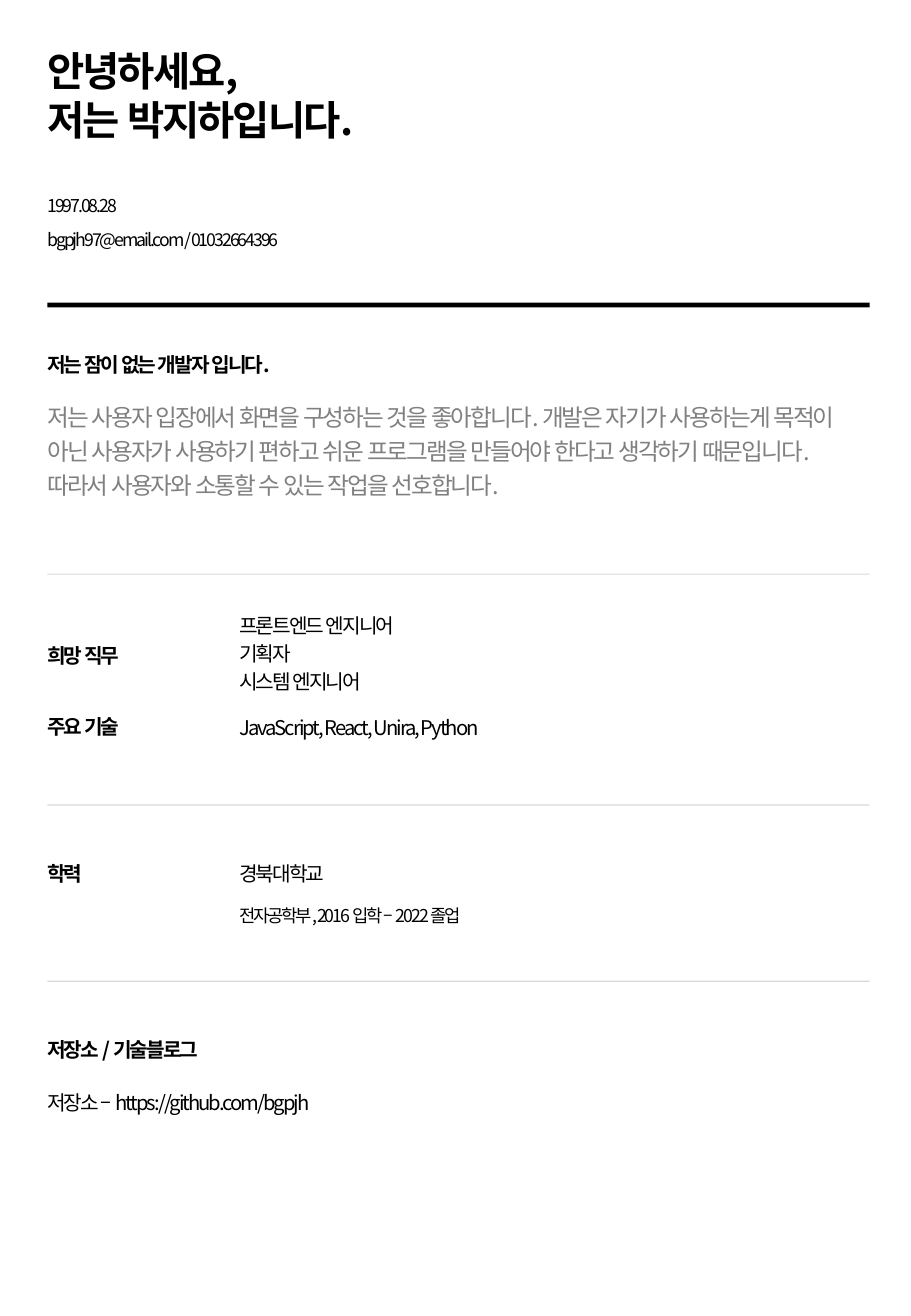
from lxml import etree
from pptx import Presentation
from pptx.dml.color import RGBColor
from pptx.enum.shapes import MSO_SHAPE
from pptx.enum.text import MSO_ANCHOR, PP_ALIGN
from pptx.oxml.ns import qn
from pptx.util import Inches, Pt

RECTANGLE = MSO_SHAPE.RECTANGLE
TOP = MSO_ANCHOR.TOP
LEFT = PP_ALIGN.LEFT

BLACK = RGBColor(0x00, 0x00, 0x00)
GRAY = RGBColor(0x80, 0x80, 0x80)
PALE = RGBColor(0xD9, 0xD9, 0xD9)
WHITE = RGBColor(0xFF, 0xFF, 0xFF)

FONT = "Noto Sans CJK KR"
TRACKING = "-120"
PAGE_W, PAGE_H = 7.5, 10.83

# Two columns: labels and their values
MARGIN = 0.39
CONTENT_W = 6.77
LABEL_W = 1.42
VALUE_X = 1.97
VALUE_W = 5.34
ROW_H = 0.31


def add_text(slide, box, lines, size=12, bold=False, color=BLACK, spacing=1.15):
    frame = slide.shapes.add_textbox(*map(Inches, box)).text_frame
    frame.word_wrap = True
    frame.vertical_anchor = TOP
    frame.margin_left = frame.margin_right = 0
    frame.margin_top = frame.margin_bottom = 0
    for index, line in enumerate(lines):
        paragraph = frame.add_paragraph() if index else frame.paragraphs[0]
        paragraph.alignment = LEFT
        paragraph.line_spacing = spacing
        run = paragraph.add_run()
        run.text = line
        run.font.size = Pt(size)
        run.font.bold = bold
        run.font.color.rgb = color
        run.font.name = FONT
        # Letter spacing and the Korean typeface
        properties = run._r.get_or_add_rPr()
        properties.set("lang", "ko-KR")
        properties.set("spc", TRACKING)
        etree.SubElement(properties, qn("a:ea")).set("typeface", FONT)


def add_rule(slide, y, thickness=0.01, color=PALE):
    rule = slide.shapes.add_shape(
        RECTANGLE, *map(Inches, (MARGIN, y, CONTENT_W, thickness)))
    rule.shadow.inherit = False
    rule.fill.solid()
    rule.fill.fore_color.rgb = color
    rule.line.fill.background()


def add_label(slide, y, text, width=LABEL_W):
    add_text(slide, (MARGIN, y, width, ROW_H), [text], bold=True)


def add_value(slide, y, lines, height=ROW_H, **style):
    add_text(slide, (VALUE_X, y, VALUE_W, height), lines, **style)


def add_greeting(slide, top):
    add_text(slide, (MARGIN, top, 3.38, 1.15),
             ["안녕하세요,", "저는 박지하입니다."], size=24, bold=True, spacing=1.0)
    contacts = ["1997.08.28", "bgpjh97@email.com / 01032664396"]
    for row, contact in enumerate(contacts):
        add_text(slide, (MARGIN, top + 1.22 + row * 0.28, 5.37, 0.22),
                 [contact], size=10.5, spacing=1.0)


def add_introduction(slide, top):
    add_rule(slide, top, 0.04, BLACK)
    add_label(slide, top + 0.38, "저는 잠이 없는 개발자 입니다.", CONTENT_W)
    add_text(slide, (MARGIN, top + 0.78, CONTENT_W, 1.16), [
        "저는 사용자 입장에서 화면을 구성하는 것을 좋아합니다. "
        "개발은 자기가 사용하는게 목적이 아닌 사용자가 사용하기 편하고 쉬운 "
        "프로그램을 만들어야 한다고 생각하기 때문입니다. "
        "따라서 사용자와 소통할 수 있는 작업을 선호합니다.",
    ], size=14, color=GRAY, spacing=1.2)


def add_career(slide, top):
    add_rule(slide, top)
    add_label(slide, top + 0.54, "희망 직무")
    add_value(slide, top + 0.3,
              ["프론트엔드 엔지니어", "기획자", "시스템 엔지니어"], height=0.47)
    add_label(slide, top + 1.13, "주요 기술")
    add_value(slide, top + 1.13, ["JavaScript, React, Unira, Python"], spacing=1.2)


def add_education(slide, top):
    add_rule(slide, top)
    add_label(slide, top + 0.44, "학력")
    add_value(slide, top + 0.44, ["경북대학교"])
    add_value(slide, top + 0.79, ["전자공학부, 2016 입학 – 2022 졸업"],
              height=0.23, size=10.5, spacing=1.2)


def add_links(slide, top):
    add_rule(slide, top)
    add_label(slide, top + 0.44, "저장소 / 기술블로그", 2.03)
    add_text(slide, (MARGIN, top + 0.87, VALUE_W, ROW_H),
             ["저장소 – https://github.com/bgpjh"])


def main():
    deck = Presentation()
    deck.slide_width = Inches(PAGE_W)
    deck.slide_height = Inches(PAGE_H)
    resume = deck.slides.add_slide(deck.slide_layouts[6])
    resume.background.fill.solid()
    resume.background.fill.fore_color.rgb = WHITE

    # Sections from top to bottom
    add_greeting(resume, 0.38)
    add_introduction(resume, 2.49)
    add_career(resume, 4.72)
    add_education(resume, 6.62)
    add_links(resume, 8.07)
    deck.save("out.pptx")


if __name__ == "__main__":
    main()
